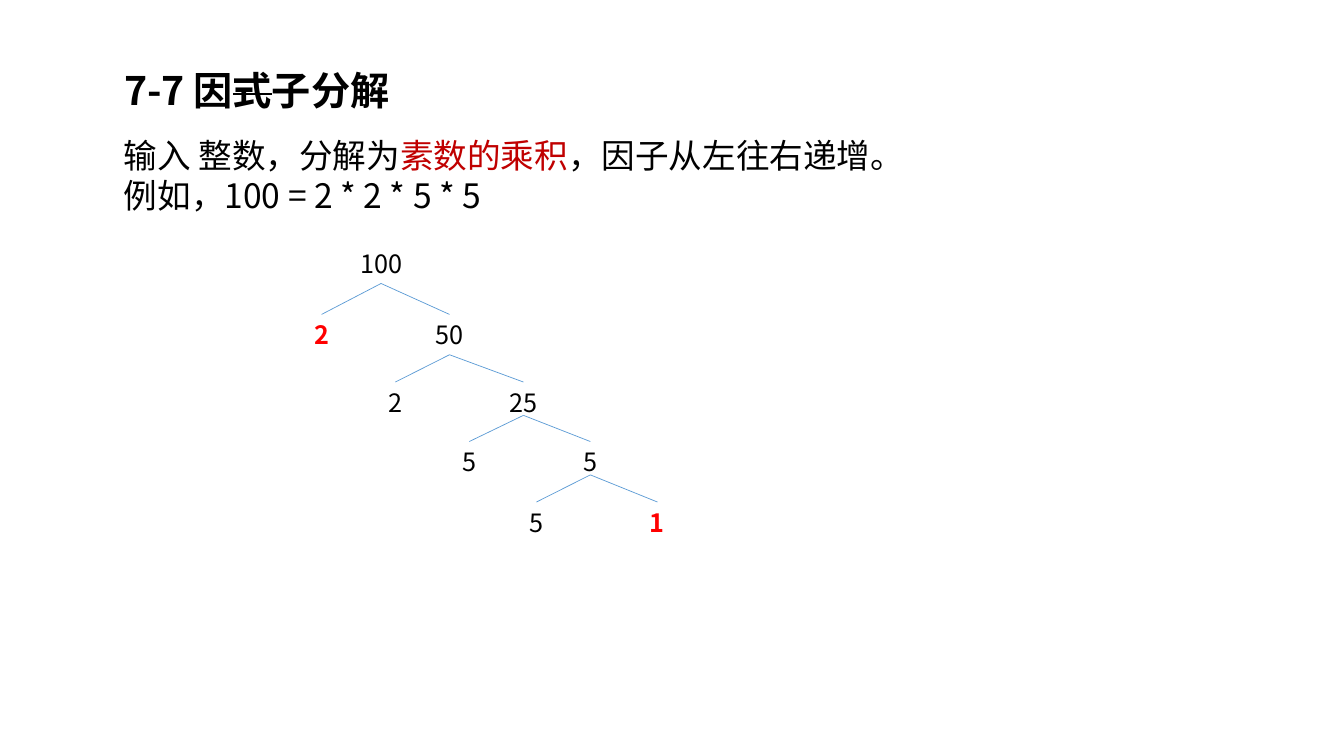
from pptx import Presentation
from pptx.dml.color import RGBColor
from pptx.enum.shapes import MSO_CONNECTOR as Connector
from pptx.enum.text import MSO_ANCHOR as Anchor, MSO_AUTO_SIZE as AutoSize, PP_ALIGN as Align
from pptx.oxml.ns import qn
from pptx.util import Pt
from lxml.etree import SubElement

BLACK, RED, DARK_RED, BLUE = "000000", "FF0000", "C00000", "5B9BD5"
TOP, BOTTOM = 0, 2
LABEL_HEIGHT = 28.8


def color(hex_text):
    return RGBColor.from_string(hex_text)


class FactorSlide:
    """Draws the text and the factor tree of one slide in a single style."""

    font = "Noto Sans CJK SC"

    def __init__(self, deck):
        self.slide = deck.slides.add_slide(deck.slide_layouts[5])

    def run(self, paragraph, text, size, hex_text=BLACK, bold=False, strike=False):
        run = paragraph.add_run()
        run.text = text
        run.font.size, run.font.bold, run.font.name = Pt(size), bold, self.font
        run.font.color.rgb = color(hex_text)
        properties = run.font._element
        SubElement(properties, qn("a:ea")).set("typeface", self.font)
        if strike:
            properties.set("strike", "sngStrike")

    def title(self, left, top, width, height, parts):
        heading = self.slide.shapes.title
        heading.left, heading.top = Pt(left), Pt(top)
        heading.width, heading.height = Pt(width), Pt(height)
        frame = heading.text_frame
        frame.word_wrap, frame.auto_size = False, AutoSize.SHAPE_TO_FIT_TEXT
        frame.vertical_anchor = Anchor.TOP
        frame.paragraphs[0].alignment = Align.LEFT
        for text, strike in parts:
            self.run(frame.paragraphs[0], text, 28, bold=True, strike=strike)

    def body(self, left, top, width, height, lines):
        box = self.slide.shapes.add_textbox(Pt(left), Pt(top), Pt(width), Pt(height))
        frame = box.text_frame
        frame.word_wrap, frame.auto_size = True, AutoSize.SHAPE_TO_FIT_TEXT
        for index, parts in enumerate(lines):
            paragraph = frame.add_paragraph() if index else frame.paragraphs[0]
            for text, hex_text in parts:
                self.run(paragraph, text, 24, hex_text)

    def number(self, text, center, top, marked=False):
        width = 16 + 10 * len(text)
        box = self.slide.shapes.add_textbox(
            Pt(center - width / 2), Pt(top), Pt(width), Pt(LABEL_HEIGHT))
        frame = box.text_frame
        frame.word_wrap, frame.auto_size = False, AutoSize.NONE
        frame.paragraphs[0].alignment = Align.CENTER
        self.run(frame.paragraphs[0], text, 18, RED if marked else BLACK, marked)
        return box

    def branch(self, parent, child, overlap):
        start_x = parent.left + parent.width // 2
        start_y = parent.top + parent.height - Pt(overlap)
        line = self.slide.shapes.add_connector(
            Connector.STRAIGHT, start_x, start_y, child.left + child.width // 2, child.top)
        if not overlap:
            line.begin_connect(parent, BOTTOM)
        line.end_connect(child, TOP)
        line.line.color.rgb, line.line.width = color(BLUE), Pt(0.5)
        SubElement(line._element.spPr, qn("a:effectLst"))


def main():
    deck = Presentation()
    deck.slide_width, deck.slide_height = Pt(960), Pt(540)
    page = FactorSlide(deck)
    page.title(81.4, 43.9, 211.7, 41, [("7-7 因", False), ("式", True), ("子分解", False)])
    page.body(81.4, 92.9, 710.6, 65.5, [
        [("输入 整数，分解为", BLACK), ("素数的乘积", DARK_RED), ("，因子从左往右递增。", BLACK)],
        [("例如，100 = 2 * 2 * 5 * 5", BLACK)],
    ])

    divisions = [
        (224.6, 0, ("2", 229.7, True), ("50", 321.1)),
        (272.9, 0, ("2", 282.4), ("25", 373.9)),
        (315.4, 5, ("5", 335.2), ("5", 421.7)),
        (358.6, 5, ("5", 383.2), ("1", 469.6, True)),
    ]
    dividend = page.number("100", 272.2, 173.7)
    for top, overlap, factor, quotient in divisions:
        children = []
        for text, center, *marked in (factor, quotient):
            child = page.number(text, center, top, bool(marked))
            page.branch(dividend, child, overlap)
            children.append(child)
        dividend = children[-1]
    deck.save("out.pptx")


if __name__ == "__main__":
    main()
